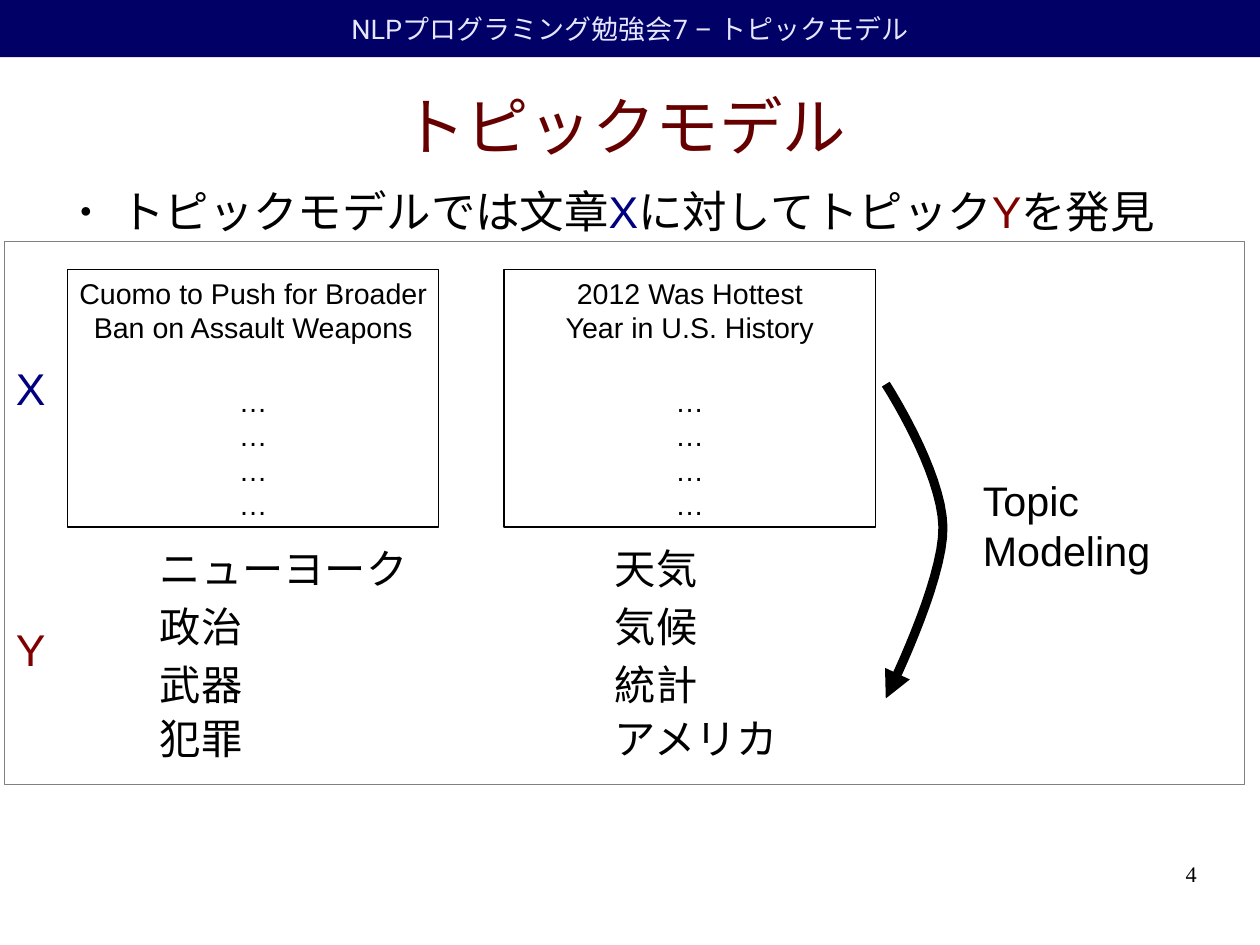
from lxml import etree
from pptx import Presentation
from pptx.dml.color import RGBColor
from pptx.enum import shapes, text
from pptx.oxml import ns
from pptx.util import Pt

BLACK, BLUE, RED = "000000", "000080", "800000"
LEFT, CENTER, RIGHT = text.PP_ALIGN.LEFT, text.PP_ALIGN.CENTER, text.PP_ALIGN.RIGHT
INSETS = (7.2, 3.6)


def rgb(value):
    return RGBColor.from_string(value)


def add_xml(parent, tag, **attrs):
    return etree.SubElement(parent, ns.qn(tag), attrs)


def bezier(p0, p1, p2, p3, steps=16):
    """Points along a cubic curve, without its start."""
    for i in range(1, steps + 1):
        t = i / steps
        s = 1 - t
        yield tuple(Pt(s**3 * a + 3 * s * s * t * b + 3 * s * t * t * c + t**3 * d)
                    for a, b, c, d in zip(p0, p1, p2, p3))


class Deck:
    font = "Arial"

    def __init__(self, width, height):
        self.prs = Presentation()
        self.prs.slide_width, self.prs.slide_height = Pt(width), Pt(height)
        self.slide = self.prs.slides.add_slide(self.prs.slide_layouts[1])

    def frame(self, sp, insets=INSETS, anchor=text.MSO_ANCHOR.TOP, wrap=True):
        tf = sp.text_frame
        tf.margin_left = tf.margin_right = Pt(insets[0])
        tf.margin_top = tf.margin_bottom = Pt(insets[1])
        tf.vertical_anchor, tf.word_wrap = anchor, wrap
        tf.auto_size = text.MSO_AUTO_SIZE.NONE
        return tf

    def style(self, p, size, color=BLACK, align=LEFT, font=None):
        p.alignment = align
        p.font.size, p.font.name = Pt(size), font or self.font
        p.font.color.rgb = rgb(color)

    def add_lines(self, tf, lines, size, **style):
        for i, line in enumerate(lines):
            p = tf.add_paragraph() if i else tf.paragraphs[0]
            p.add_run().text = line
            self.style(p, size, **style)

    def place(self, sp, box):
        sp.left, sp.top, sp.width, sp.height = map(Pt, box)

    def title(self, box, line, size, color):
        sp = self.slide.shapes.title
        self.place(sp, box)
        tf = self.frame(sp, (0, 0), text.MSO_ANCHOR.MIDDLE)
        self.add_lines(tf, [line], size, color=color, align=CENTER)

    def bullet(self, box, runs, size):
        sp = self.slide.placeholders[1]
        self.place(sp, box)
        p = self.frame(sp, (0, 0)).paragraphs[0]
        pPr = p._p.get_or_add_pPr()
        pPr.set("marL", str(Pt(34)))
        pPr.set("indent", str(Pt(-25.5)))
        add_xml(add_xml(pPr, "a:buClr"), "a:srgbClr", val=BLACK)
        add_xml(pPr, "a:buSzPct", val="45000")
        add_xml(pPr, "a:buChar", char="●")
        p.space_before, p.space_after = Pt(0), Pt(14.2)
        self.style(p, size)
        for line, color in runs:
            r = p.add_run()
            r.text = line
            r.font.color.rgb = rgb(color)

    def label(self, box, lines, size, wrap=False, insets=INSETS, **style):
        sp = self.slide.shapes.add_textbox(*map(Pt, box))
        self.add_lines(self.frame(sp, insets, wrap=wrap), lines, size, **style)

    def rect(self, box, fill=None, line=None):
        sp = self.slide.shapes.add_shape(shapes.MSO_SHAPE.RECTANGLE, *map(Pt, box))
        sp.shadow.inherit = False
        if fill:
            sp.fill.solid()
            sp.fill.fore_color.rgb = rgb(fill)
        else:
            sp.fill.background()
        if line:
            sp.line.color.rgb, sp.line.width = rgb(line), Pt(0)
        else:
            sp.line.fill.background()
        return sp

    def arrow(self, start, curves, width):
        fb = self.slide.shapes.build_freeform(*map(Pt, start))
        for c1, c2, end in curves:
            fb.add_line_segments(list(bezier(start, c1, c2, end)), close=False)
            start = end
        sp = fb.convert_to_shape()
        sp.shadow.inherit = False
        sp.fill.background()
        sp.line.color.rgb, sp.line.width = rgb(BLACK), Pt(width)
        add_xml(sp.element.spPr.find(ns.qn("a:ln")), "a:tailEnd", type="triangle")


deck = Deck(793.7, 595.3)

# Header band, title and statement
band = deck.rect((0, 0, 793.7, 36), fill="000066")
deck.add_lines(deck.frame(band, anchor=text.MSO_ANCHOR.MIDDLE),
               ["NLPプログラミング勉強会7 – トピックモデル"], 17,
               color="E6E6FF", align=CENTER, font="Roboto")
deck.title((36, 33, 714.3, 91.5), "トピックモデル", 40, "660000")
deck.bullet((41.8, 116, 714.3, 40.3),
            [("トピックモデルでは文章", BLACK), ("X", BLUE),
             ("に対してトピック", BLACK), ("Y", RED), ("を発見", BLACK)], 28)

# Documents with their topics below
documents = [
    (42.5, ["Cuomo to Push for Broader", "Ban on Assault Weapons"],
     93.6, ["ニューヨーク", "政治", "武器", "犯罪"]),
    (317.5, ["2012 Was Hottest", "Year in U.S. History"],
     380.2, ["天気", "気候", "統計", "アメリカ"]),
]
topic_tops = [338.4, 375.1, 411.8, 445.7]
for box_left, headline, topic_left, topics in documents:
    page = deck.rect((box_left, 170, 234, 162), line=BLACK)
    tf = deck.frame(page, anchor=text.MSO_ANCHOR.MIDDLE, wrap=False)
    deck.add_lines(tf, headline + ["…"] * 4, 18, align=CENTER)
    tf.paragraphs[len(headline)].space_before = Pt(25)
    for top, topic in zip(topic_tops, topics):
        deck.label((topic_left, top, 14.4 + 26 * len(topic), 37.5), [topic], 26)

# Arrow from documents to topics
deck.arrow((558, 242), [((558, 242), (593.3, 296.6), (594, 331.9)),
                        ((594.7, 366.5), (558, 440), (558, 440))], 5.75)
deck.label((612, 296, 120.2, 65.5), ["Topic", "Modeling"], 26)

# Row labels, frame and page number
for top, name, color in [(224, "X", BLUE), (388, "Y", RED)]:
    deck.label((3, top, 33, 38), [name], 28, color=color)
deck.rect((3, 152, 781, 342), line="808080")
deck.label((569, 542.2, 185, 41), ["4"], 14, wrap=True, insets=(0, 0),
           align=RIGHT, font="Times New Roman")

deck.prs.save("out.pptx")
